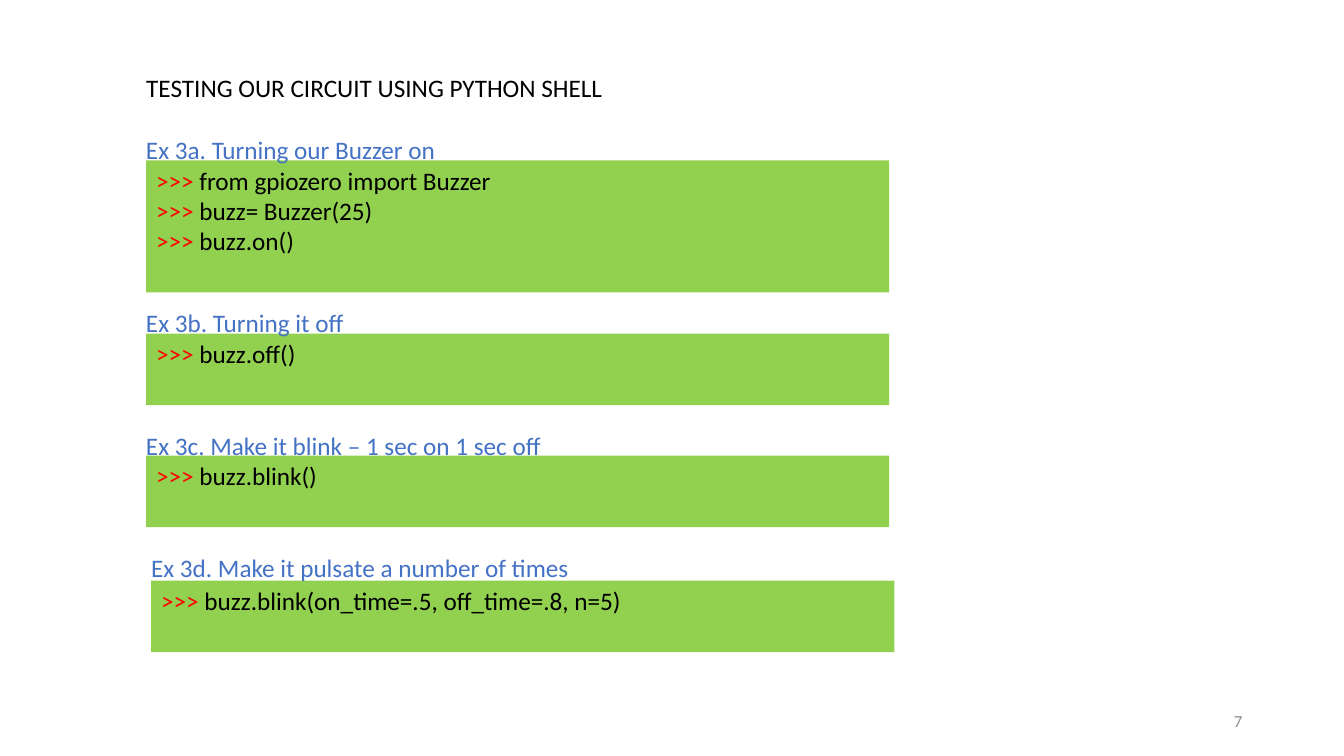
from pptx import Presentation
from pptx import util as u
from pptx.dml import color
from pptx.enum import shapes, text

BLACK = color.RGBColor(0x00, 0x00, 0x00)
RED = color.RGBColor(0xFF, 0x00, 0x00)
BLUE = color.RGBColor(0x44, 0x72, 0xC4)
GREEN = color.RGBColor(0x92, 0xD0, 0x50)
GREY = color.RGBColor(0x8C, 0x8C, 0x8C)

FONT = "Calibri"
PROMPT = ">>> "
LINE_HEIGHT = 0.4
CODE_WIDTH = 7.37
LABEL_OUTDENT = 0.1  # lines the label text up with the edge of its code box

# label, label width, code lines, code box left, top, height, label rise
EXERCISES = [
    ("Ex 3a. Turning our Buzzer on", 3.83,
     ["from gpiozero import Buzzer", "buzz= Buzzer(25)", "buzz.on()"],
     1.45, 1.59, 1.31, 0.31),
    ("Ex 3b. Turning it off", 2.96, ["buzz.off()"],
     1.45, 3.31, 0.71, 0.31),
    ("Ex 3c. Make it blink – 1 sec on 1 sec off", 4.8, ["buzz.blink()"],
     1.45, 4.52, 0.71, 0.3),
    ("Ex 3d. Make it pulsate a number of times", 5.22,
     ["buzz.blink(on_time=.5, off_time=.8, n=5)"],
     1.5, 5.76, 0.71, 0.33),
]


def format_span(span, ink, size=18):
    span.font.name = FONT
    span.font.size = u.Pt(size)
    span.font.color.rgb = ink


def fill_line(box, words, ink, size=18, align=text.PP_ALIGN.LEFT,
              anchor=text.MSO_ANCHOR.TOP, wrap=True):
    frame = box.text_frame
    frame.text = words
    frame.word_wrap = wrap
    frame.auto_size = text.MSO_AUTO_SIZE.NONE
    frame.vertical_anchor = anchor
    para = frame.paragraphs[0]
    para.alignment = align
    format_span(para.runs[0], ink, size)


def add_title(page, left, top, width, height):
    title = page.shapes.title
    title.left, title.top = u.Inches(left), u.Inches(top)
    title.width, title.height = u.Inches(width), u.Inches(height)
    fill_line(title, "TESTING OUR CIRCUIT USING PYTHON SHELL", BLACK, wrap=False)


def add_code_box(page, lines, left, top, width, height):
    box = page.shapes.add_shape(
        shapes.MSO_SHAPE.RECTANGLE, u.Inches(left), u.Inches(top),
        u.Inches(width), u.Inches(height))
    box.shadow.inherit = False
    box.fill.solid()
    box.fill.fore_color.rgb = GREEN
    box.line.fill.background()
    frame = box.text_frame
    frame.word_wrap = True
    frame.vertical_anchor = text.MSO_ANCHOR.TOP
    for index, line in enumerate(lines):
        para = frame.add_paragraph() if index else frame.paragraphs[0]
        para.alignment = text.PP_ALIGN.LEFT
        for words, ink in ((PROMPT, RED), (line, BLACK)):
            span = para.add_run()
            span.text = words
            format_span(span, ink)


def add_exercise(page, label, label_width, lines, left, top, height, rise):
    add_code_box(page, lines, left, top, CODE_WIDTH, height)
    label_box = page.shapes.add_textbox(
        u.Inches(left - LABEL_OUTDENT), u.Inches(top - rise),
        u.Inches(label_width), u.Inches(LINE_HEIGHT))
    fill_line(label_box, label, BLUE)


def add_page_number(page, left, top, width, height):
    box = page.shapes.add_textbox(
        u.Inches(left), u.Inches(top), u.Inches(width), u.Inches(height))
    fill_line(box, "7", GREY, 12, text.PP_ALIGN.RIGHT, text.MSO_ANCHOR.MIDDLE)


def main():
    deck = Presentation()
    deck.slide_width, deck.slide_height = u.Inches(13.33), u.Inches(7.5)
    page = deck.slides.add_slide(deck.slide_layouts[5])  # title only

    add_title(page, 1.35, 0.67, 4.8, LINE_HEIGHT)
    for exercise in EXERCISES:
        add_exercise(page, *exercise)
    add_page_number(page, 9.42, 6.95, 3, LINE_HEIGHT)

    deck.save("out.pptx")


if __name__ == "__main__":
    main()
